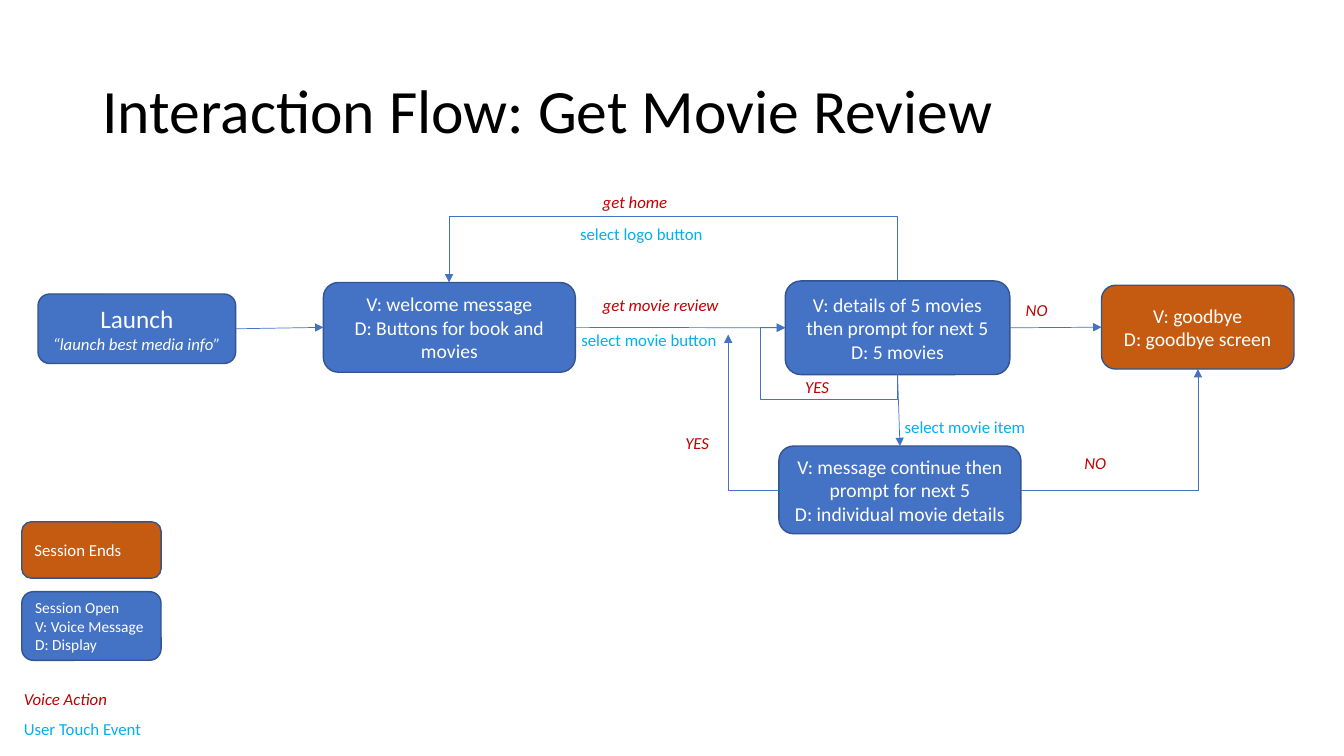
from pptx import Presentation
from pptx.dml.color import RGBColor
from pptx.enum.shapes import MSO_CONNECTOR, MSO_SHAPE
from pptx.enum.text import MSO_ANCHOR, MSO_AUTO_SIZE, PP_ALIGN
from pptx.oxml.ns import qn
from pptx.util import Cm, Pt
from lxml.etree import SubElement

COLORS = {
    "open": "4472C4", "end": "C55A11", "outline": "325491", "white": "FFFFFF",
    "black": "000000", "voice": "C00000", "touch": "00B0F0",
}
TOP, LEFT, BOTTOM, RIGHT = range(4)


def format_paragraph(para, size, color, italic=False):
    for span in para.runs:
        span.font.name = "Calibri"
        span.font.size = Pt(size)
        span.font.italic = italic
        span.font.color.rgb = RGBColor.from_string(COLORS[color])


def add_arrow(kind, source, source_site, target, target_site):
    arrow = page.shapes.add_connector(kind, 0, 0, 0, 0)
    arrow.begin_connect(boxes[source], source_site)
    if target:
        arrow.end_connect(boxes[target], target_site)
    arrow.line.color.rgb = RGBColor.from_string(COLORS["open"])
    arrow.line.width = Pt(0.5)
    properties = arrow._element.spPr
    SubElement(properties.find(qn("a:ln")), qn("a:tailEnd"), type="triangle")
    SubElement(properties, qn("a:effectLst"))
    return arrow


deck = Presentation()
deck.slide_width, deck.slide_height = Cm(33.87), Cm(19.05)
page = deck.slides.add_slide(deck.slide_layouts[5])

title = page.shapes.title
title.left, title.top, title.width, title.height = Cm(2.33), Cm(1.01), Cm(29.21), Cm(3.68)
title.text_frame.text = "Interaction Flow: Get Movie Review"
title.text_frame.auto_size = MSO_AUTO_SIZE.NONE
title.text_frame.vertical_anchor = MSO_ANCHOR.MIDDLE
heading = title.text_frame.paragraphs[0]
heading.alignment = PP_ALIGN.LEFT
heading.line_spacing = 0.9
format_paragraph(heading, 44, "black")

box_data = [
    ("launch", 0.96, 7.41, 4.98, 1.75, "open", 18, PP_ALIGN.CENTER,
     "Launch\n“launch best media info”"),
    ("welcome", 8.15, 7.12, 6.35, 2.26, "open", 14, PP_ALIGN.CENTER,
     "V: welcome message\nD: Buttons for book and movies"),
    ("details", 19.79, 7.08, 5.66, 2.36, "open", 14, PP_ALIGN.CENTER,
     "V: details of 5 movies then prompt for next 5\nD: 5 movies"),
    ("goodbye", 27.76, 7.19, 4.85, 2.11, "end", 14, PP_ALIGN.CENTER,
     "V: goodbye\nD: goodbye screen"),
    ("message", 19.63, 11.24, 6.1, 2.21, "open", 14, PP_ALIGN.CENTER,
     "V: message continue then prompt for next 5\nD: individual movie details"),
    ("session open", 0.55, 14.91, 3.51, 1.73, "open", 11, PP_ALIGN.LEFT,
     "Session Open\nV: Voice Message\nD: Display"),
    ("session ends", 0.55, 13.15, 3.51, 1.42, "end", 12, PP_ALIGN.LEFT,
     "Session Ends"),
]
boxes = {}
for name, left, top, width, height, fill, size, alignment, text in box_data:
    box = page.shapes.add_shape(
        MSO_SHAPE.ROUNDED_RECTANGLE, Cm(left), Cm(top), Cm(width), Cm(height))
    box.shadow.inherit = False
    box.fill.solid()
    box.fill.fore_color.rgb = RGBColor.from_string(COLORS[fill])
    box.line.color.rgb = RGBColor.from_string(COLORS["outline"])
    box.line.width = Pt(1)
    box.text_frame.text = text
    box.text_frame.word_wrap = True
    box.text_frame.vertical_anchor = MSO_ANCHOR.MIDDLE
    for para in box.text_frame.paragraphs:
        para.alignment = alignment
        format_paragraph(para, size, "white")
    boxes[name] = box
launch_frame = boxes["launch"].text_frame
launch_frame.margin_left = launch_frame.margin_right = Cm(0.2)
format_paragraph(launch_frame.paragraphs[1], 12, "white", italic=True)

for source, source_site, target, target_site in [
    ("launch", RIGHT, "welcome", LEFT),
    ("welcome", RIGHT, "details", LEFT),
    ("details", RIGHT, "goodbye", LEFT),
    ("details", BOTTOM, "message", TOP),
]:
    add_arrow(MSO_CONNECTOR.STRAIGHT, source, source_site, target, target_site)

elbow_data = [
    ("details", BOTTOM, "details", LEFT, "bentConnector4",
     20.61, 7.43, 1.18, 2.83, 90, "1", "0", [-53700, 122400]),
    ("message", RIGHT, "goodbye", BOTTOM, "bentConnector2",
     25.73, 9.3, 4.46, 3.05, 0, "0", "1", []),
    ("message", LEFT, None, None, "bentConnector2",
     18.35, 8.43, 1.28, 3.92, 180, "0", "0", []),
    ("details", TOP, "welcome", TOP, "bentConnector3",
     16.95, 1.45, 0.04, 11.3, 270, "1", "1", [-4075000]),
]
for (source, source_site, target, target_site, preset, left, top, width, height,
     angle, flip_h, flip_v, adjustments) in elbow_data:
    elbow = add_arrow(MSO_CONNECTOR.ELBOW, source, source_site, target, target_site)
    elbow.left, elbow.top, elbow.width, elbow.height = Cm(left), Cm(top), Cm(width), Cm(height)
    transform = elbow._element.spPr.find(qn("a:xfrm"))
    transform.set("rot", str(angle * 60000))
    transform.set("flipH", flip_h)
    transform.set("flipV", flip_v)
    geometry = elbow._element.spPr.find(qn("a:prstGeom"))
    geometry.set("prst", preset)
    guides = geometry.find(qn("a:avLst"))
    for number, value in enumerate(adjustments, start=1):
        SubElement(guides, qn("a:gd"), name=f"adj{number}", fmla=f"val {value}")

label_data = [
    ("get home", 14.94, 4.7, 2.16, "voice"),
    ("select logo button", 14.37, 5.51, 3.73, "touch"),
    ("get movie review", 14.94, 7.29, 3.48, "voice"),
    ("select movie button", 14.4, 8.18, 3.96, "touch"),
    ("YES", 20.04, 9.37, 1.12, "voice"),
    ("NO", 25.6, 7.44, 1.07, "voice"),
    ("select movie item", 22.55, 10.38, 3.58, "touch"),
    ("NO", 27.08, 11.28, 1.07, "voice"),
    ("YES", 17.02, 10.77, 1.12, "voice"),
    ("Voice Action", 0.35, 17.22, 2.64, "voice"),
    ("User Touch Event", 0.35, 17.98, 3.51, "touch"),
]
for text, left, top, width, color in label_data:
    label = page.shapes.add_textbox(Cm(left), Cm(top), Cm(width), Cm(0.77))
    label.text_frame.text = text
    label.text_frame.word_wrap = False
    label.text_frame.auto_size = MSO_AUTO_SIZE.SHAPE_TO_FIT_TEXT
    format_paragraph(label.text_frame.paragraphs[0], 12, color, italic=color == "voice")

deck.save("out.pptx")
